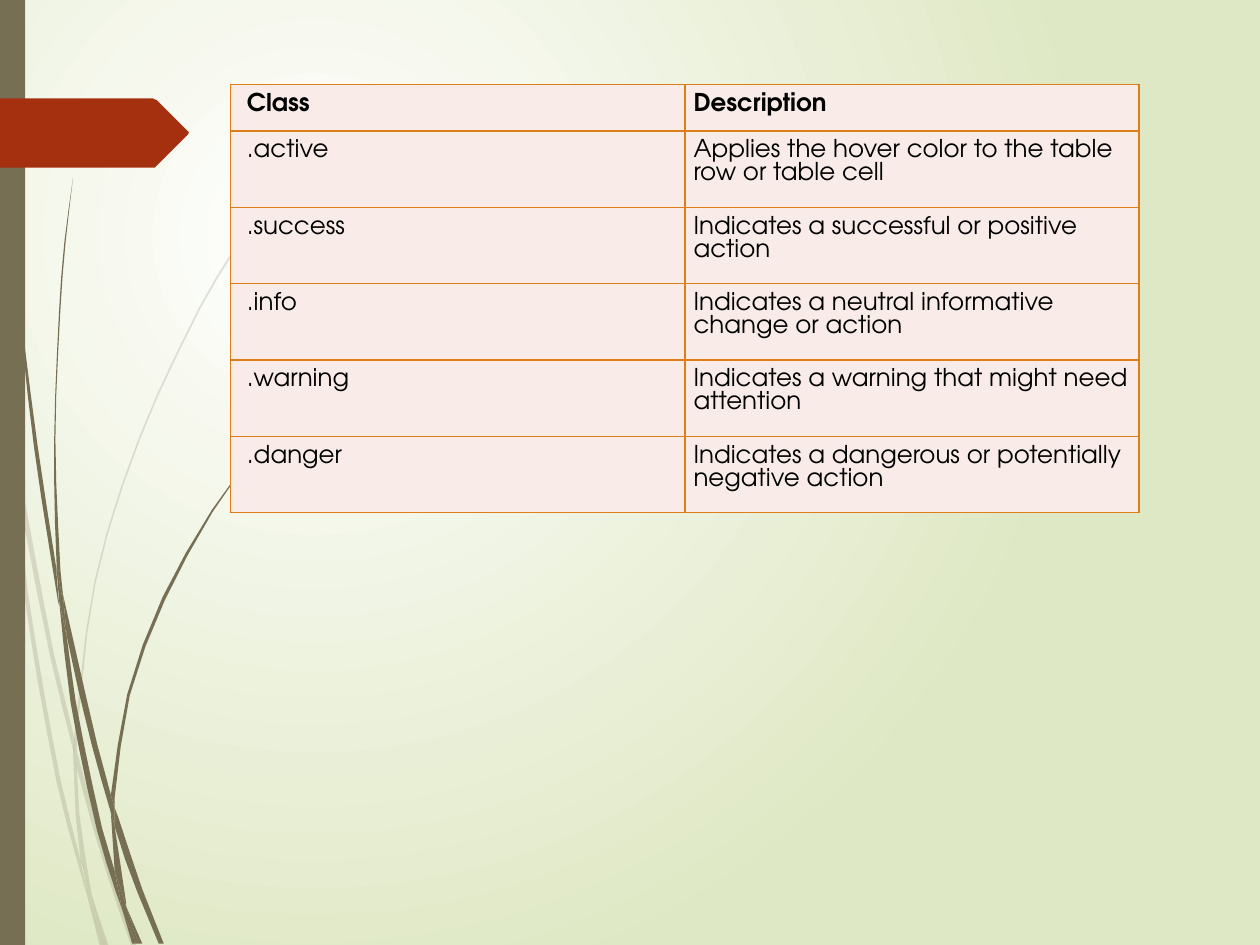
from math import dist

from lxml.etree import SubElement
from pptx import Presentation
from pptx.dml.color import RGBColor
from pptx.enum.shapes import MSO_SHAPE as Shape
from pptx.oxml.ns import qn
from pptx.util import Inches, Pt

COLORS = {
    "glow": "FFFFFF",
    "meadow": "DFE8C4",
    "stem": "766F54",
    "tag": "A53010",
    "border": "DE7E18",
    "cell": "F9ECE8",
    "text": "000000",
}
FONT = "TeX Gyre Adventor"

# Anchor points of each outline, in inches
PALE_STEMS = [
    [(0.08, 3.5), (0.06, 3.22), (0, 2.82), (0, 2.99), (0.07, 3.44)],
    [(0.4, 5.22), (0.59, 5.99), (0.59, 5.86), (0.43, 5.2), (0.1, 3.45), (0.12, 3.76)],
    [(0.64, 6.07), (0.61, 5.96), (0.61, 6.1), (0.85, 6.94), (1.04, 7.5), (1.08, 7.5),
     (0.88, 6.92)],
    [(0.83, 7.5), (0.86, 7.5), (0.73, 7.11)],
    [(0.64, 6.83), (0.48, 6.19), (0.22, 4.69), (0.12, 3.76), (0.08, 3.5), (0.19, 4.7),
     (0.45, 6.21), (0.64, 6.93), (0.7, 7.14), (0.69, 7.07)],
    [(0.58, 5.99), (0.6, 6.46), (0.64, 6.83), (0.67, 6.92), (0.73, 7.11), (0.72, 7.06),
     (0.63, 6.46), (0.61, 6.1), (0.61, 6.08)],
    [(0.61, 5.84), (0.76, 4.62), (1.11, 3.49), (1.59, 2.45), (1.87, 1.98), (2.01, 1.75),
     (2.17, 1.54), (2.17, 1.53), (2.01, 1.75), (1.86, 1.97), (1.58, 2.44), (1.1, 3.48),
     (0.75, 4.61), (0.59, 5.84), (0.59, 5.86), (0.61, 5.96)],
    [(0.7, 7.14), (0.79, 7.5), (0.82, 7.5)],
    [(0.61, 6.08), (0.61, 6.1), (0.61, 5.96), (0.59, 5.86), (0.58, 5.99)],
    [(0.67, 6.92), (0.65, 6.83), (0.69, 7.07), (0.7, 7.14), (0.82, 7.5), (0.83, 7.5),
     (0.73, 7.11)],
]
DARK_STEMS = [
    [(0.05, 1.1), (0.14, 2.33), (0.27, 3.55), (0.46, 4.77), (0.47, 4.81), (0.45, 4.57),
     (0.45, 4.53), (0.3, 3.55), (0.15, 2.32), (0.06, 1.09), (0.04, 0.48), (0.03, 0),
     (0.02, 0), (0.03, 0.48)],
    [(0.73, 5.92), (0.88, 6.45), (0.88, 6.33), (0.88, 6.31), (0.77, 5.9), (0.5, 4.72),
     (0.53, 5.05)],
    [(0.94, 6.49), (0.91, 6.41), (0.91, 6.56), (1.09, 7.08), (1.26, 7.49), (1.3, 7.49),
     (1.13, 7.06)],
    [(0.91, 6.91), (0.81, 6.57), (0.6, 5.56), (0.53, 5.05), (0.47, 4.77), (0.56, 5.57),
     (0.77, 6.59), (0.92, 7.08), (0.97, 7.22), (0.96, 7.17)],
    [(0.5, 4.72), (0.48, 4.53), (0.44, 3.49), (0.48, 2.45), (0.52, 1.93), (0.58, 1.41),
     (0.51, 1.93), (0.47, 2.45), (0.43, 3.49), (0.45, 4.49), (0.49, 4.72)],
    [(1.1, 7.49), (1.13, 7.49), (1, 7.19)],
    [(0.47, 4.77), (0.53, 5.05), (0.5, 4.72), (0.49, 4.72), (0.45, 4.49), (0.45, 4.53)],
    [(0.91, 6.33), (1.03, 5.52), (1.31, 4.76), (1.69, 4.06), (1.91, 3.74), (2.16, 3.44),
     (2.15, 3.44), (1.91, 3.73), (1.68, 4.05), (1.29, 4.74), (1.01, 5.51), (0.88, 6.31),
     (0.91, 6.41)],
    [(0.97, 7.22), (1.05, 7.49), (1.08, 7.49)],
    [(0.88, 6.45), (0.91, 6.91), (0.96, 7.06), (1, 7.19), (1, 7.16), (0.91, 6.56),
     (0.9, 6.51)],
    [(0.88, 6.45), (0.9, 6.51), (0.91, 6.56), (0.91, 6.41), (0.88, 6.31), (0.88, 6.33)],
    [(0.96, 7.06), (0.91, 6.91), (0.96, 7.17), (0.97, 7.22), (1.08, 7.49), (1.1, 7.49),
     (1, 7.19)],
]
TAG = [(1.49, 1.07), (1.24, 1.32), (1.23, 1.33), (1.21, 1.33), (0, 1.33), (0, 0.78),
       (1.21, 0.78), (1.23, 0.79), (1.24, 0.79), (1.49, 1.04), (1.5, 1.05)]
ROWS = [
    ("Class", "Description"),
    (".active", "Applies the hover color to the table row or table cell"),
    (".success", "Indicates a successful or positive action"),
    (".info", "Indicates a neutral informative change or action"),
    (".warning", "Indicates a warning that might need attention"),
    (".danger", "Indicates a dangerous or potentially negative action"),
]


def direction(start, end):
    length = dist(start, end)
    return (end[0] - start[0]) / length, (end[1] - start[1]) / length


def tangent(before, anchor, after, own):
    """Direction through an anchor; at a sharp corner, the segment's own direction."""
    incoming, outgoing = direction(before, anchor), direction(anchor, after)
    cosine = incoming[0] * outgoing[0] + incoming[1] * outgoing[1]
    return direction(before, after) if cosine > 0.9 else own


def smooth(anchors):
    """Points of a closed outline that curves through its anchors, more on long parts."""
    points = []
    count = len(anchors)
    for index in range(count):
        before, start, end, after = (anchors[(index + k) % count] for k in (-1, 0, 1, 2))
        own = direction(start, end)
        leave = tangent(before, start, end, own)
        arrive = tangent(start, end, after, own)
        reach = dist(start, end) / 3
        steps = 1 + int(dist(start, end) / 0.5)
        for step in range(steps):
            t = step / steps
            u = 1 - t
            points.append(tuple(
                u**3 * a + 3 * u * u * t * (a + reach * p)
                + 3 * u * t * t * (b - reach * q) + t**3 * b
                for a, b, p, q in zip(start, end, leave, arrive)))
    return points


class SlideBuilder:
    def __init__(self, slide):
        self.slide = slide

    def color(self, name):
        return RGBColor.from_string(COLORS[name])

    def background(self, center, edge):
        fill = self.slide.background.fill
        fill.gradient()
        for stop, name, position in zip(fill.gradient_stops, (center, edge), (0, 1)):
            stop.color.rgb = self.color(name)
            stop.position = position
        gradient = self.slide.element.find(".//" + qn("a:gradFill"))
        gradient.remove(gradient.find(qn("a:lin")))
        circle = SubElement(gradient, qn("a:path"), path="circle")
        SubElement(circle, qn("a:fillToRect"), l="50000", t="50000", r="100000", b="100000")

    def paint(self, shape, name, opacity=100):
        shape.shadow.inherit = False
        shape.line.fill.background()
        shape.fill.solid()
        shape.fill.fore_color.rgb = self.color(name)
        if opacity < 100:
            value = shape.element.spPr.find(".//" + qn("a:srgbClr"))
            SubElement(value, qn("a:alpha"), val=str(opacity * 1000))

    def rectangle(self, left, top, width, height, name):
        box = map(Inches, (left, top, width, height))
        self.paint(self.slide.shapes.add_shape(Shape.RECTANGLE, *box), name)

    def outline(self, anchors, name, opacity=100):
        points = [(Inches(x), Inches(y)) for x, y in smooth(anchors)]
        builder = self.slide.shapes.build_freeform(*points[0])
        builder.add_line_segments(points[1:], close=True)
        self.paint(builder.convert_to_shape(), name, opacity)

    def cell(self, cell, text, left_margin, bold):
        cell.margin_left = Inches(left_margin)
        cell.margin_right = cell.margin_top = cell.margin_bottom = Inches(0.07)
        paragraph = cell.text_frame.paragraphs[0]
        paragraph.line_spacing = Pt(13)
        run = paragraph.add_run()
        run.text = text
        run.font.name, run.font.size, run.font.bold = FONT, Pt(14), bold
        run.font.color.rgb = self.color("text")
        properties = cell._tc.get_or_add_tcPr()
        for side in ("lnL", "lnR", "lnT", "lnB"):
            line = SubElement(properties, qn("a:" + side), w=str(Pt(1)))
            solid = SubElement(line, qn("a:solidFill"))
            SubElement(solid, qn("a:srgbClr"), val=COLORS["border"])
        cell.fill.solid()
        cell.fill.fore_color.rgb = self.color("cell")

    def table(self, left, top, width, height, header_height, rows):
        columns = len(rows[0])
        box = map(Inches, (left, top, width, height))
        table = self.slide.shapes.add_table(len(rows), columns, *box).table
        table.first_row = table.horz_banding = False
        for column in table.columns:
            column.width = Inches(width / columns)
        body_height = (height - header_height) / (len(rows) - 1)
        for r, texts in enumerate(rows):
            table.rows[r].height = Inches(body_height if r else header_height)
            for c, text in enumerate(texts):
                self.cell(table.cell(r, c), text, 0.07 if c else 0.13, bold=r == 0)


def main():
    presentation = Presentation()
    presentation.slide_width, presentation.slide_height = Inches(10), Inches(7.5)
    builder = SlideBuilder(presentation.slides.add_slide(presentation.slide_layouts[6]))
    builder.background("glow", "meadow")
    for stem in PALE_STEMS:
        builder.outline(stem, "stem", opacity=20)
    for stem in DARK_STEMS:
        builder.outline(stem, "stem")
    builder.rectangle(0, 0, 0.2, 7.5, "stem")
    builder.outline(TAG, "tag")
    builder.table(1.83, 0.67, 7.21, 3.4, 0.37, ROWS)
    presentation.save("out.pptx")


if __name__ == "__main__":
    main()
